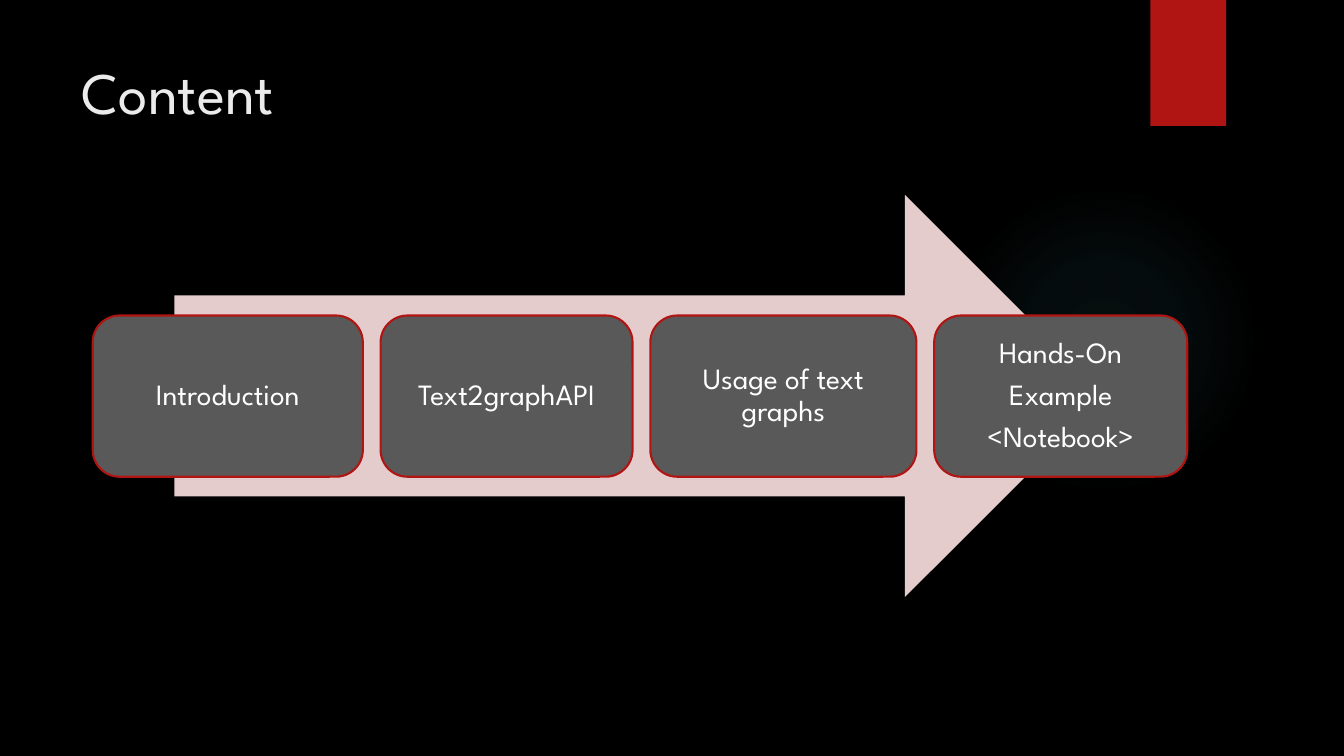
"""Build the content slide: four agenda steps on a wide arrow."""
from dataclasses import dataclass

from pptx import Presentation
from pptx import util as u
from pptx.dml.color import RGBColor
from pptx.enum import shapes, text
from pptx.oxml import parse_xml
from pptx.oxml.ns import nsdecls
from pptx.shapes.autoshape import Shape
from pptx.slide import Slide

BLACK = RGBColor(0x00, 0x00, 0x00)
RED = RGBColor(0xB0, 0x15, 0x13)
PINK = RGBColor(0xE4, 0xCC, 0xCC)
GREY = RGBColor(0x59, 0x59, 0x59)
WHITE = RGBColor(0xFF, 0xFF, 0xFF)
PALE = RGBColor(0xEB, 0xEB, 0xEB)
TEAL = RGBColor(0x50, 0xB9, 0xC1)

FONT = "League Spartan"
WIDTH, HEIGHT = u.Inches(13.33), u.Inches(7.5)
COLUMN, ROW = WIDTH / 100, HEIGHT / 100
STEP_LEFT, STEP_GAP = 6.9, 1.32
STEP_TOP, STEP_ROWS = 41.73, 21.33
GLOW_STOPS = ((0, 7), (36, 6), (69, 0))


@dataclass(frozen=True)
class Area:
    """A rectangle in grid columns and rows."""

    left: float
    top: float
    columns: float
    rows: float

    def box(self) -> tuple[int, int, int, int]:
        """Return left, top, width and height in EMU."""
        return (round(self.left * COLUMN), round(self.top * ROW),
                round(self.columns * COLUMN), round(self.rows * ROW))


@dataclass(frozen=True)
class Step:
    """One agenda step and its width in columns."""

    topic: str
    columns: float


STEPS = (
    Step("Introduction", 20.1),
    Step("Text2graphAPI", 18.75),
    Step("Usage of text graphs", 19.8),
    Step("Hands-On\nExample\n<Notebook>", 18.83),
)


def add_figure(slide: Slide, kind: shapes.MSO_SHAPE, area: Area, color: RGBColor) -> Shape:
    """Add a flat shape without outline or shadow."""
    figure = slide.shapes.add_shape(kind, *area.box())
    figure.shadow.inherit = False
    figure.fill.solid()
    figure.fill.fore_color.rgb = color
    figure.line.fill.background()
    return figure


def add_glow(slide: Slide, area: Area) -> None:
    """Add a faint circle that fades towards its edge."""
    glow = add_figure(slide, shapes.MSO_SHAPE.OVAL, area, TEAL)
    stops = "".join(
        f'<a:gs pos="{place * 1000}"><a:srgbClr val="{TEAL}">'
        f'<a:alpha val="{opacity * 1000}"/></a:srgbClr></a:gs>'
        for place, opacity in GLOW_STOPS)
    fade = parse_xml(
        f'<a:gradFill {nsdecls("a")}><a:gsLst>{stops}</a:gsLst><a:path path="circle">'
        '<a:fillToRect l="50000" t="50000" r="50000" b="50000"/></a:path></a:gradFill>')
    properties = glow.element.spPr
    properties.replace(properties.find("{*}solidFill"), fade)


def style_font(paragraph, size: float, color: RGBColor) -> None:
    """Set the font of every run in a paragraph."""
    for run in paragraph.runs:
        run.font.name = FONT
        run.font.size = u.Pt(size)
        run.font.color.rgb = color


def add_title(slide: Slide, wording: str, area: Area) -> None:
    """Place and format the slide title."""
    title = slide.shapes.title
    title.left, title.top, title.width, title.height = area.box()
    title.text_frame.text = wording
    title.text_frame.word_wrap = True
    title.text_frame.vertical_anchor = text.MSO_ANCHOR.MIDDLE
    heading = title.text_frame.paragraphs[0]
    heading.alignment = text.PP_ALIGN.LEFT
    style_font(heading, 42, PALE)


def add_step(slide: Slide, step: Step, left: float) -> None:
    """Add one rounded step with its centred topic."""
    area = Area(left, STEP_TOP, step.columns, STEP_ROWS)
    card = add_figure(slide, shapes.MSO_SHAPE.ROUNDED_RECTANGLE, area, GREY)
    card.line.color.rgb = RED
    card.line.width = u.Pt(1.5)
    frame = card.text_frame
    frame.text = step.topic
    frame.word_wrap = True
    frame.vertical_anchor = text.MSO_ANCHOR.MIDDLE
    frame.margin_left = frame.margin_right = u.Inches(0.09)
    frame.margin_top = frame.margin_bottom = u.Inches(0.09)
    for line in frame.paragraphs:
        line.alignment = text.PP_ALIGN.CENTER
        line.line_spacing = 0.9
        line.space_after = u.Pt(7.35)
        style_font(line, 21, WHITE)


def main() -> None:
    """Build and save the presentation."""
    deck = Presentation()
    deck.slide_width, deck.slide_height = WIDTH, HEIGHT
    slide = deck.slides.add_slide(deck.slide_layouts[5])
    slide.background.fill.solid()
    slide.background.fill.fore_color.rgb = BLACK

    add_title(slide, "Content", Area(5.33, 6.67, 77.2, 10.8))
    add_glow(slide, Area(70.59, 24.4, 23.1, 41.07))
    add_figure(slide, shapes.MSO_SHAPE.RECTANGLE, Area(85.6, 0, 5.63, 16.67), RED)
    add_figure(slide, shapes.MSO_SHAPE.RIGHT_ARROW, Area(12.98, 25.77, 69.32, 53.2), PINK)

    left = STEP_LEFT
    for step in STEPS:
        add_step(slide, step, left)
        left += step.columns + STEP_GAP

    deck.save("out.pptx")


if __name__ == "__main__":
    main()
